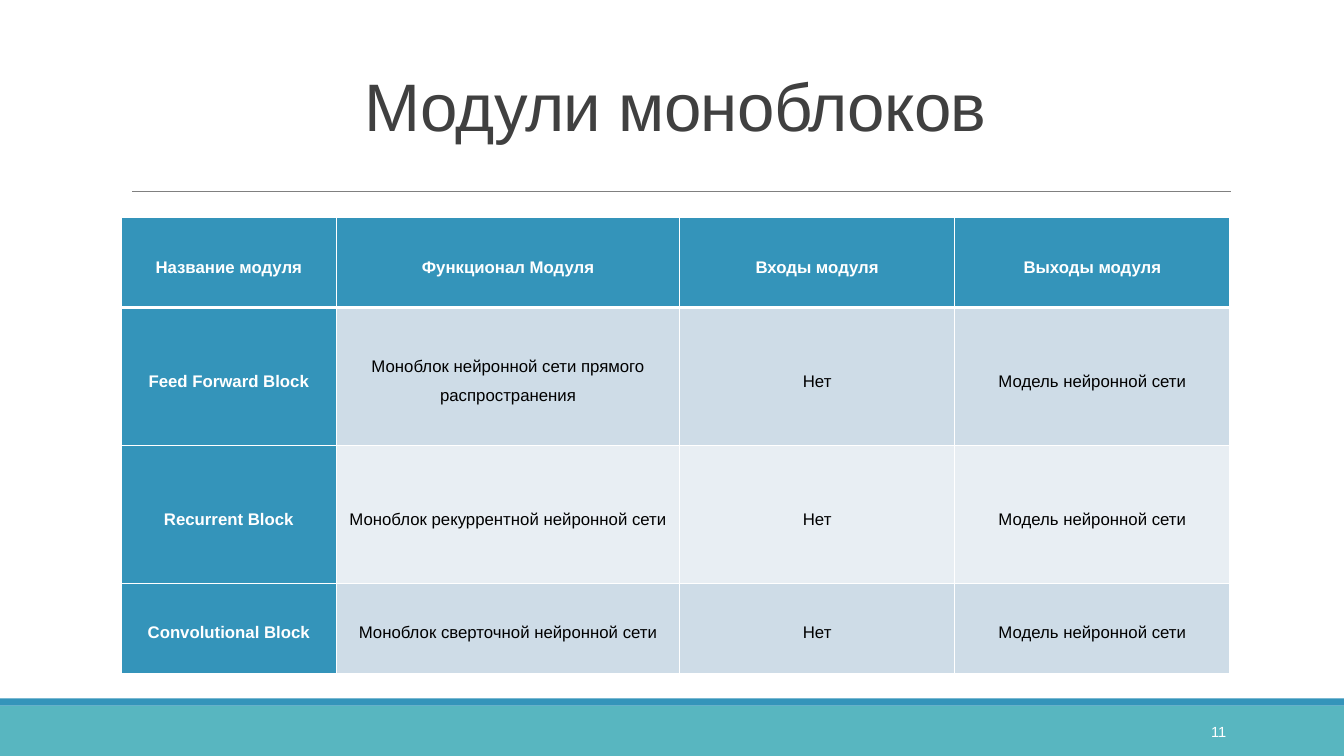
from lxml.etree import SubElement
from pptx import Presentation
from pptx.dml.color import RGBColor
from pptx.enum.shapes import MSO_CONNECTOR, MSO_SHAPE
from pptx.enum.text import MSO_ANCHOR, PP_ALIGN
from pptx.oxml.ns import qn
from pptx.util import Pt

PX = 9144  # 100 px to the inch
WIDTH, HEIGHT = 1333, 750
FONT = "Arial"
COLORS = {
    "blue": "3494BA",
    "teal": "58B6C0",
    "rule": "808080",
    "title": "404040",
    "white": "FFFFFF",
    "black": "000000",
    "odd": "CEDCE7",
    "even": "E8EEF3",
}
COLS = [214, 340, 273, 273]
ROWS = [89, 137, 137, 89]
HEAD = ["Название модуля", "Функционал Модуля", "Входы модуля", "Выходы модуля"]
BLOCKS = [
    ("Feed Forward Block", "Моноблок нейронной сети прямого распространения"),
    ("Recurrent Block", "Моноблок рекуррентной нейронной сети"),
    ("Convolutional Block", "Моноблок сверточной нейронной сети"),
]
INPUT, OUTPUT = "Нет", "Модель нейронной сети"


def emu(*sizes):
    return [size * PX for size in sizes]


def color(name):
    return RGBColor.from_string(COLORS[name])


def style(para, size, tint, align, bold=False):
    para.alignment = align
    para.font.name = FONT
    para.font.size = Pt(size)
    para.font.bold = bold
    para.font.color.rgb = color(tint)


def add_text(slide, box, text, size, tint, align):
    frame = slide.shapes.add_textbox(*emu(*box)).text_frame
    frame.word_wrap = True
    frame.vertical_anchor = MSO_ANCHOR.MIDDLE
    para = frame.paragraphs[0]
    para.text = text
    style(para, size, tint, align)
    return para


def add_bar(slide, box, tint):
    bar = slide.shapes.add_shape(MSO_SHAPE.RECTANGLE, *emu(*box))
    bar.shadow.inherit = False
    bar.fill.solid()
    bar.fill.fore_color.rgb = color(tint)
    bar.line.fill.background()


def add_title(slide, box, text):
    """Title with a thin rule along the bottom of its box."""
    left, top, width, height = box
    para = add_text(slide, box, text, 48, "title", PP_ALIGN.CENTER)
    para.line_spacing = 0.85
    para.runs[0].font._element.set("spc", "-50")
    base = top + height
    ends = emu(left + 11, base, left + width + 1, base)
    rule = slide.shapes.add_connector(MSO_CONNECTOR.STRAIGHT, *ends)
    rule.line.color.rgb = color("rule")
    rule.line.width = Pt(0.5)
    SubElement(rule._element.spPr, qn("a:effectLst"))


def set_edges(cell, widths):
    """White cell borders; widths in points by side: L, R, T, B."""
    props = cell._tc.get_or_add_tcPr()
    for spot, (side, width) in enumerate(widths.items()):
        edge = SubElement(props, qn(f"a:ln{side}"), w=str(Pt(width)))
        fill = SubElement(edge, qn("a:solidFill"))
        SubElement(fill, qn("a:srgbClr"), val=COLORS["white"])
        props.insert(spot, edge)


def fill_cell(cell, text, row, col):
    strong = row == 0 or col == 0
    back = "blue" if strong else "odd" if row % 2 else "even"
    cell.fill.solid()
    cell.fill.fore_color.rgb = color(back)
    cell.vertical_anchor = MSO_ANCHOR.MIDDLE
    cell.margin_left = cell.margin_right = 7 * PX
    cell.margin_top = cell.margin_bottom = 0
    para = cell.text_frame.paragraphs[0]
    para.text = text
    para.line_spacing = 1.5
    style(para, 12, "white" if strong else "black", PP_ALIGN.CENTER, strong)
    top, base = (3 if row == 1 else 1), (3 if row == 0 else 1)
    set_edges(cell, {"L": 1, "R": 1, "T": top, "B": base})


def add_grid(slide, box):
    data = [HEAD] + [[name, role, INPUT, OUTPUT] for name, role in BLOCKS]
    table = slide.shapes.add_table(len(ROWS), len(COLS), *emu(*box)).table
    for col, width in zip(table.columns, emu(*COLS)):
        col.width = width
    for row, height in zip(table.rows, emu(*ROWS)):
        row.height = height
    for row, texts in enumerate(data):
        for col, text in enumerate(texts):
            fill_cell(table.cell(row, col), text, row, col)


def add_footer(slide, box, number):
    left, top, width, height = box
    add_bar(slide, (left, top + 7, width, height - 7), "teal")
    add_bar(slide, (left, top, width, 7), "blue")
    spot = (left + width - 250, top + 13, 143, 40)
    add_text(slide, spot, number, 10.5, "white", PP_ALIGN.RIGHT)


def main():
    deck = Presentation()
    deck.slide_width, deck.slide_height = emu(WIDTH, HEIGHT)
    slide = deck.slides.add_slide(deck.slide_layouts[6])
    add_footer(slide, (0, 693, WIDTH, 57), "11")
    add_title(slide, (120, 31, 1100, 159), "Модули моноблоков")
    add_grid(slide, (120, 216, sum(COLS), sum(ROWS)))
    deck.save("out.pptx")


if __name__ == "__main__":
    main()
